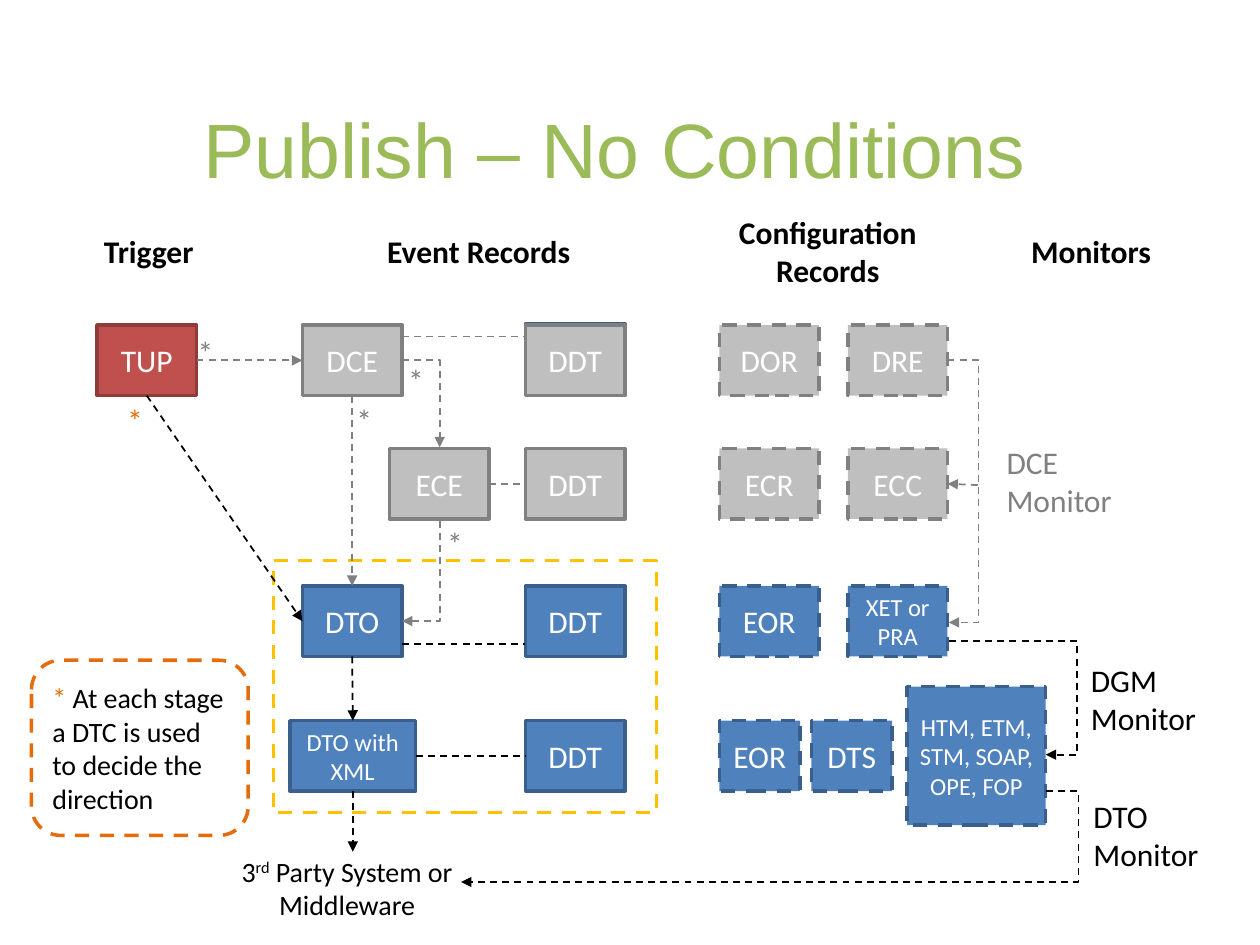
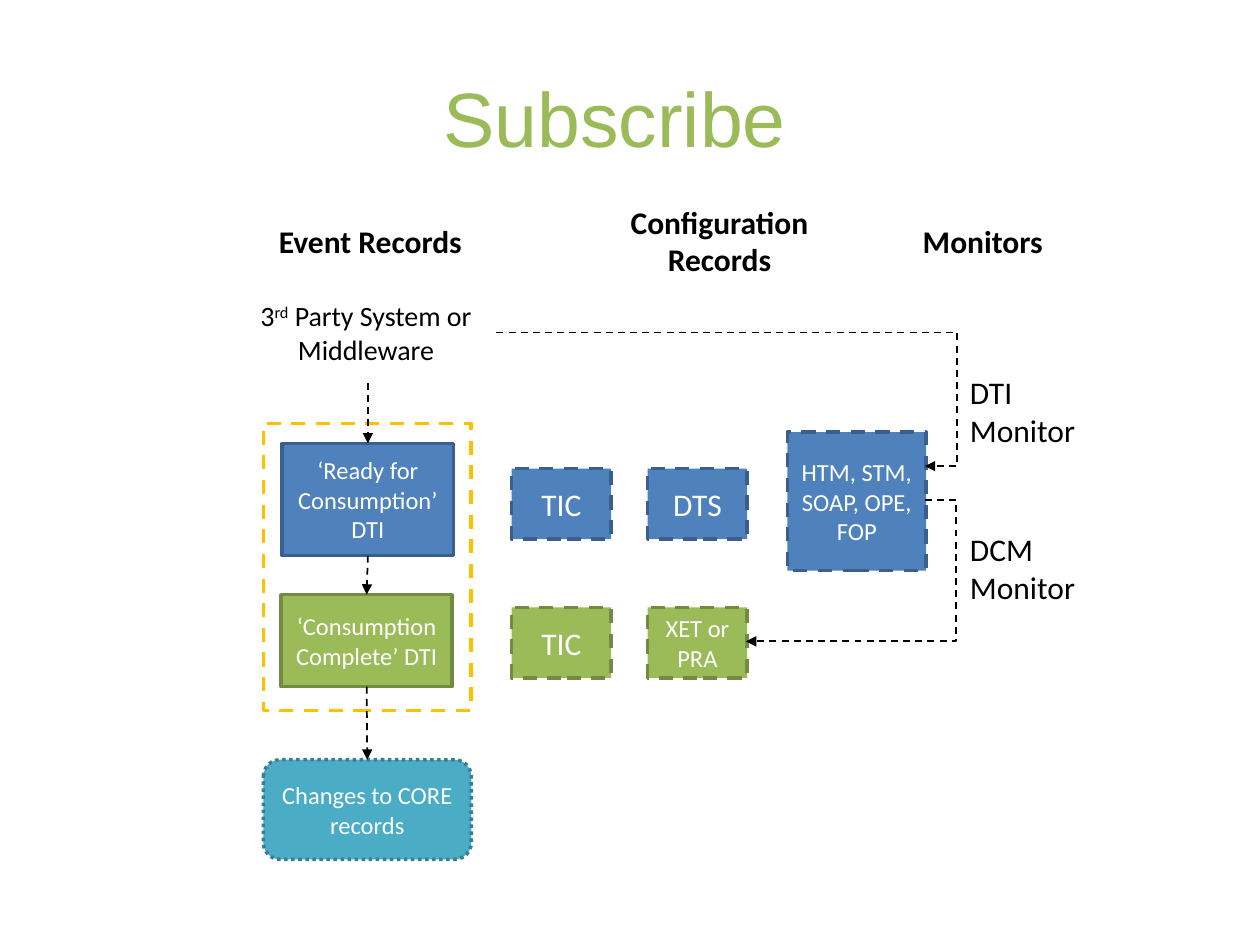
from lxml.etree import SubElement
from pptx import Presentation
from pptx.dml.color import RGBColor
from pptx.enum.dml import MSO_LINE as DASH
from pptx.enum.shapes import MSO_CONNECTOR as CONN, MSO_SHAPE as SHP
from pptx.enum.text import MSO_ANCHOR as ANCHOR, PP_ALIGN as ALIGN
from pptx.oxml.ns import qn
from pptx.util import Inches as In, Pt

rgb = RGBColor.from_string
BLACK, WHITE, GREY, ORANGE, GOLD = "000000", "FFFFFF", "808080", "E46C0A", "FFC000"
LIME = "9BBB59"
RED_BOX = ("C0504D", "8E3B39")
GREY_BOX = ("BFBFBF", GREY)
BLUE_BOX = ("4F81BD", "3A5F8C")
GREEN_BOX = (LIME, "738A42")
TEAL_BOX = ("4BACC6", "377F92")
BOX_W, BOX_H, BIG = 0.79, 0.56, 1.1


def add_box(s, at, text="", size=18, color=WHITE, paint=None, dash=None,
            shape=SHP.RECTANGLE, align=ALIGN.CENTER, bold=False, font="Calibri"):
    at = [In(v) for v in at]
    if paint:
        sp = s.shapes.add_shape(shape, *at)
        sp.shadow.inherit = False
        fill, line = paint
        if fill:
            sp.fill.solid()
            sp.fill.fore_color.rgb = rgb(fill)
        else:
            sp.fill.background()
        sp.line.color.rgb = rgb(line)
        sp.line.width = Pt(2)
        if dash:
            sp.line.dash_style = dash
    else:
        sp = s.shapes.add_textbox(*at)
    tf = sp.text_frame
    tf.word_wrap = True
    tf.vertical_anchor = ANCHOR.MIDDLE if paint else ANCHOR.TOP
    tf.text = text
    for p in tf.paragraphs:
        p.alignment = align
        p.font.size, p.font.bold, p.font.name = Pt(size), bold, font
        p.font.color.rgb = rgb(color)
    return sp


def add_link(s, start, end, color=BLACK, bend=None, arrow="tailEnd"):
    free = [isinstance(e[0], (int, float)) for e in (start, end)]
    x1, y1 = start if free[0] else (0, 0)
    x2, y2 = end if free[1] else (0, 0)
    kind = CONN.STRAIGHT if bend is None else CONN.ELBOW
    c = s.shapes.add_connector(kind, In(x1), In(y1), In(x2), In(y2))
    if not free[0]:
        c.begin_connect(*start)
    if not free[1]:
        c.end_connect(*end)
    c.line.color.rgb = rgb(color)
    c.line.width = Pt(1)
    c.line.dash_style = DASH.DASH
    pr = c._element.spPr
    if bend is not None:
        geom = pr.find(qn("a:prstGeom"))
        if bend == x2:
            geom.set("prst", "bentConnector2")
        else:
            share = round((bend - x1) / (x2 - x1) * 100000)
            guides = geom.find(qn("a:avLst"))
            SubElement(guides, qn("a:gd"), name="adj1", fmla=f"val {share}")
    if arrow:
        SubElement(pr.find(qn("a:ln")), qn("a:" + arrow), type="triangle")
    SubElement(pr, qn("a:effectLst"))


prs = Presentation()
prs.slide_width, prs.slide_height = In(10), In(7.5)

pages = [
    ("Publish – No Conditions", 0.55, 1.79, (1.72, 6.73),
     [("Trigger", 0.67, 1.02), ("Event Records", 2.4, 2.8),
      ("Configuration\nRecords", 5.31, 2.52), ("Monitors", 8.06, 1.2)]),
    ("Subscribe", 0.3, 1.71, (1.87, 2.32),
     [("Event Records", 1.54, 2.8), ("Configuration\nRecords", 4.45, 2.52),
      ("Monitors", 7.2, 1.2)]),
]
slides = []
for title, title_y, head_y, party_at, heads in pages:
    s = prs.slides.add_slide(prs.slide_layouts[6])
    slides.append(s)
    sp = add_box(s, (0.38, title_y, 9, 1.25), title, 44, LIME, font="Arial")
    sp.text_frame.vertical_anchor = ANCHOR.MIDDLE
    for text, x, w in heads:
        tall = "\n" in text
        add_box(s, (x, head_y - 0.15 * tall, w, 0.7 if tall else 0.4),
                text, color=BLACK, bold=True)
    sp = add_box(s, (*party_at, 2.07, 0.64), "3", 16, BLACK)
    p = sp.text_frame.paragraphs[0]
    r = p.add_run()
    r.text = "rd"
    r.font._element.set("baseline", "30000")
    p.add_run().text = " Party System or Middleware"
publish, subscribe = slides

s = publish
TRIGGER, EVENT, ECE_X, DETAIL, CONF_1, CONF_2 = 0.77, 2.4, 3.09, 4.17, 5.71, 6.73
ROWS = [2.58, 3.56, 4.65, 5.72]
add_box(s, (DETAIL, 2.57, BOX_W, 0.47), paint=BLUE_BOX)
records = [
    ("TUP", TRIGGER, 0, RED_BOX, None), ("DCE", EVENT, 0, GREY_BOX, None),
    ("ECE", ECE_X, 1, GREY_BOX, None), ("DTO", EVENT, 2, BLUE_BOX, None),
    ("DOR", CONF_1, 0, GREY_BOX, DASH.DASH), ("DRE", CONF_2, 0, GREY_BOX, DASH.DASH),
    ("ECR", CONF_1, 1, GREY_BOX, DASH.DASH), ("ECC", CONF_2, 1, GREY_BOX, DASH.DASH),
    ("EOR", CONF_1, 2, BLUE_BOX, DASH.DASH),
]
box = {}
for text, x, row, paint, dash in records:
    box[text] = add_box(s, (x, ROWS[row], BOX_W, BOX_H), text, paint=paint, dash=dash)
ddt = [add_box(s, (DETAIL, y, BOX_W, BOX_H), "DDT", paint=GREY_BOX if row < 2 else BLUE_BOX)
       for row, y in enumerate(ROWS)]
add_box(s, (CONF_2, ROWS[2], BOX_W, BOX_H), "XET or PRA", 14, paint=BLUE_BOX, dash=DASH.DASH)
xml = add_box(s, (2.3, ROWS[3], 1, BOX_H), "DTO with XML", 14, paint=BLUE_BOX)
for text, x in (("EOR", CONF_1), ("DTS", 6.44)):
    add_box(s, (x, ROWS[3], 0.64, BOX_H), text, paint=BLUE_BOX, dash=DASH.DASH)
add_box(s, (7.2, 5.45, BIG, BIG), "HTM, ETM, STM, SOAP, OPE, FOP", 14,
        paint=BLUE_BOX, dash=DASH.DASH)
add_box(s, (2.17, 4.45, 3.04, 2), paint=(None, GOLD), dash=DASH.DASH)

add_link(s, (box["TUP"], 3), (box["DCE"], 1), GREY)
add_link(s, (box["TUP"], 2), (box["DTO"], 1))
add_link(s, (box["DCE"], 2), (box["DTO"], 0), GREY)
add_link(s, (box["DTO"], 2), (xml, 0))
add_link(s, (xml, 2), (2.8, 6.76))
add_link(s, (box["ECE"], 3), (ddt[1], 1), GREY, arrow=None)
add_link(s, (xml, 3), (ddt[3], 1), arrow=None)
for y, color in ((2.67, GREY), (5.11, BLACK)):
    add_link(s, (EVENT + BOX_W, y), (DETAIL, y), color, arrow=None)
add_link(s, (3.19, 2.86), (3.49, 3.55), GREY, bend=3.49)
add_link(s, (3.19, 4.93), (3.49, 4.13), GREY, bend=3.49, arrow="headEnd")
add_link(s, (7.52, 2.86), (7.53, 4.94), GREY, bend=7.77)
add_link(s, (7.76, 3.85), (box["ECC"], 3), GREY)
add_link(s, (7.53, 5.09), (8.3, 5.99), bend=8.55)
add_link(s, (8.3, 6.28), (3.66, 7), bend=8.56)

for x, y, color in ((0.91, 3.13, ORANGE), (1.47, 2.59, GREY), (2.73, 3.13, GREY),
                    (3.14, 2.82, GREY), (3.45, 4.11, GREY)):
    add_box(s, (x, y, 0.28, 0.4), "*", color=color, align=ALIGN.LEFT)
note = add_box(s, (0.25, 5.24, 1.72, 1.39), "* ", 16, BLACK, (None, ORANGE), DASH.DASH,
               SHP.ROUNDED_RECTANGLE, ALIGN.LEFT)
p = note.text_frame.paragraphs[0]
p.runs[0].font.color.rgb = rgb(ORANGE)
p.add_run().text = "At each stage a DTC is used to decide the direction"

s = subscribe
TIC_X, CONF_X = 4.06, 5.14
ready = add_box(s, (2.24, 3.52, 1.36, 0.89), "‘Ready for Consumption’ DTI", 14, paint=BLUE_BOX)
complete = add_box(s, (2.23, 4.72, 1.36, 0.73), "‘Consumption Complete’ DTI", 14,
                   paint=GREEN_BOX)
for text, x, y, size, paint in (
        ("TIC", TIC_X, 3.72, 18, BLUE_BOX), ("DTS", CONF_X, 3.72, 18, BLUE_BOX),
        ("TIC", TIC_X, 4.82, 18, GREEN_BOX), ("XET or PRA", CONF_X, 4.82, 14, GREEN_BOX)):
    add_box(s, (x, y, BOX_W, BOX_H), text, size, paint=paint, dash=DASH.DASH)
add_box(s, (6.25, 3.43, BIG, BIG), "HTM, STM, SOAP, OPE, FOP", 14,
        paint=BLUE_BOX, dash=DASH.DASH)
add_box(s, (2.09, 3.36, 1.65, 2.28), paint=(None, GOLD), dash=DASH.DASH)
changes = add_box(s, (2.09, 6.03, 1.65, 0.79), "Changes to CORE records", 14,
                  paint=TEAL_BOX, dash=DASH.ROUND_DOT, shape=SHP.ROUNDED_RECTANGLE)

add_link(s, (2.92, 3.04), (ready, 0))
add_link(s, (ready, 2), (complete, 0))
add_link(s, (complete, 2), (changes, 0))
add_link(s, (7.34, 3.97), (5.92, 5.09), bend=7.59)
add_link(s, (3.94, 2.64), (7.34, 3.7), bend=7.6)

for s, text, x, y, color in (
        (publish, "DCE", 7.89, 3.47, GREY), (publish, "DGM", 8.56, 5.2, BLACK),
        (publish, "DTO", 8.58, 6.28, BLACK), (subscribe, "DTI", 7.6, 2.91, BLACK),
        (subscribe, "DCM", 7.6, 4.16, BLACK)):
    add_box(s, (x, y, BIG, 0.7), text + " Monitor", color=color, align=ALIGN.LEFT)

prs.save("out.pptx")
